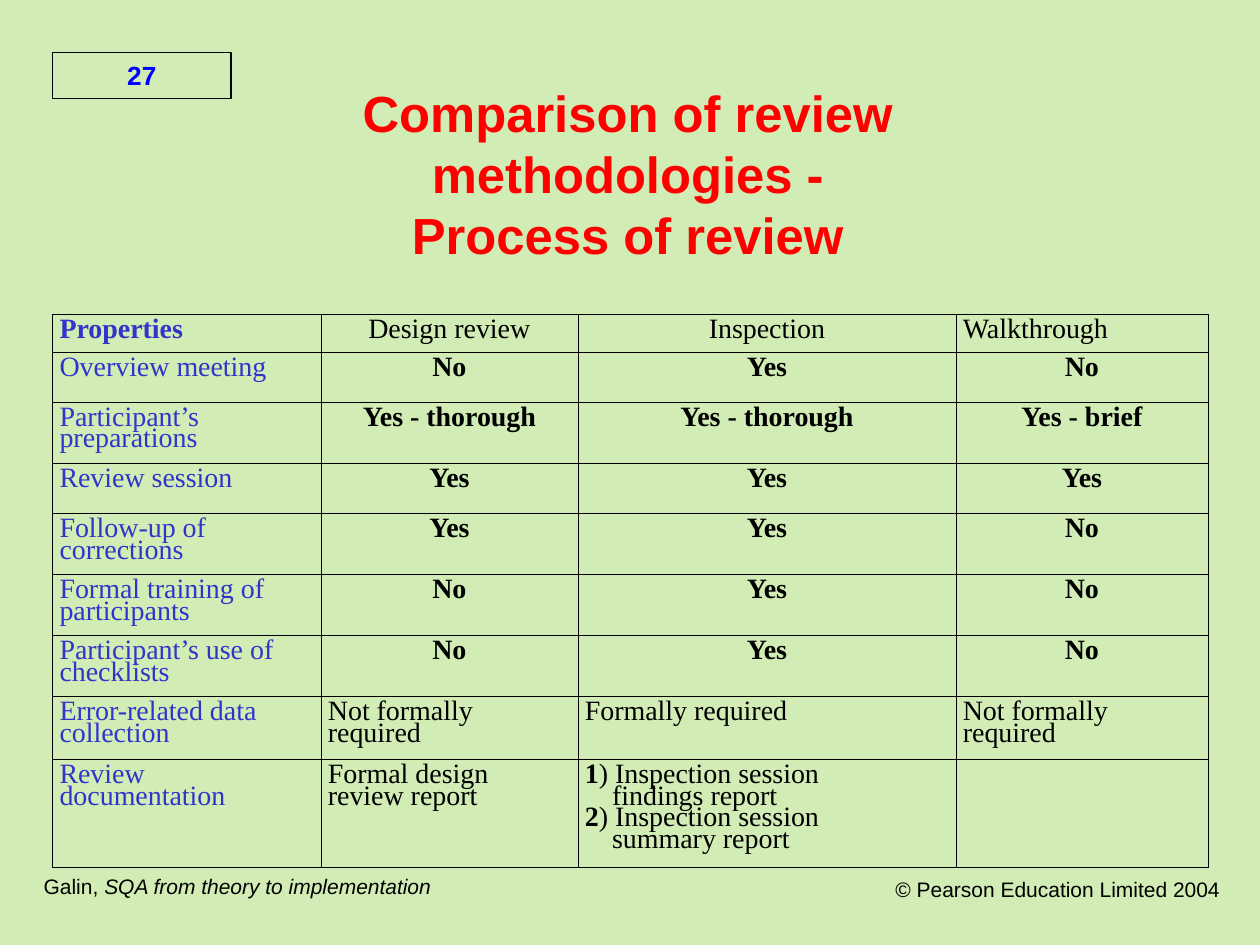
from lxml.etree import SubElement
from pptx import Presentation
from pptx.dml.color import RGBColor
from pptx.enum.text import MSO_ANCHOR, PP_ALIGN
from pptx.oxml.ns import qn
from pptx.util import Cm, Pt

COLORS = {
    "background": "D1ECB5",
    "black": "000000",
    "number": "0000FF",
    "property": "3333CC",
    "title": "FF0000",
}
LEFT, CENTER, RIGHT = PP_ALIGN.LEFT, PP_ALIGN.CENTER, PP_ALIGN.RIGHT
COLUMN_WIDTHS = [5.41, 5.18, 7.62, 5.08]
ROW_HEIGHTS = [0.76, 1.01, 1.23, 1.01, 1.23, 1.23, 1.23, 1.27, 2.18]
HEADER = ["Properties", "Design review", "Inspection", "Walkthrough"]
ANSWERS = [
    ["Overview meeting", "No", "Yes", "No"],
    ["Participant’s preparations", "Yes - thorough", "Yes - thorough", "Yes - brief"],
    ["Review session", "Yes", "Yes", "Yes"],
    ["Follow-up of corrections", "Yes", "Yes", "No"],
    ["Formal training of participants", "No", "Yes", "No"],
    ["Participant’s use of checklists", "No", "Yes", "No"],
]
DETAILS = [
    ["Error-related data collection", "Not formally required",
     "Formally required", "Not formally required"],
    ["Review documentation", "Formal design review report",
     [[("1", {"bold": True}), ") Inspection session\vfindings report"],
      [("2", {"bold": True}), ") Inspection session\vsummary report"]], ""],
]


def color(name):
    return RGBColor.from_string(COLORS[name])


def write(frame, text, size=16, font="Times New Roman", fill="black", bold=False,
          align=LEFT, spacing=None, hanging=None):
    """Write a string or a list of paragraphs, each a string or a list of runs.

    A run is a string or a pair of a string and its own font settings.
    """
    paragraphs = [text] if isinstance(text, str) else text
    for index, runs in enumerate(paragraphs):
        paragraph = frame.add_paragraph() if index else frame.paragraphs[0]
        paragraph.alignment = align
        if spacing:
            paragraph.line_spacing = spacing
        if hanging:
            properties = paragraph._p.get_or_add_pPr()
            properties.set("marL", str(hanging))
            properties.set("indent", str(-hanging))
        for run in [runs] if isinstance(runs, str) else runs:
            content, settings = (run, {}) if isinstance(run, str) else run
            for number, line in enumerate(content.split("\v")):
                if number:
                    paragraph.add_line_break()
                part = paragraph.add_run()
                part.text = line
                part.font.name = font
                part.font.size = Pt(size)
                part.font.color.rgb = color(fill)
                part.font.bold = settings.get("bold", bold)
                part.font.italic = settings.get("italic", False)


def set_borders(cell, width):
    properties = cell._tc.get_or_add_tcPr()
    for index, side in enumerate("LRTB"):
        line = SubElement(properties, qn(f"a:ln{side}"), w=str(Pt(width)))
        fill = SubElement(line, qn("a:solidFill"))
        SubElement(fill, qn("a:srgbClr"), val=COLORS["black"])
        properties.insert(index, line)


class SlideBuilder:
    font = "Arial"
    inset = Cm(0.14)
    cell_line, box_line = 0.45, 0.75

    def __init__(self, presentation):
        self.slide = presentation.slides.add_slide(presentation.slide_layouts[6])
        background = self.slide.background.fill
        background.solid()
        background.fore_color.rgb = color("background")

    def text_outline(self, box, text, outlined=False, inset=inset,
                     anchor=MSO_ANCHOR.TOP, **style):
        """Add a rectangular freeform that holds text."""
        left, top, width, height = map(Cm, box)
        right, bottom = left + width, top + height
        builder = self.slide.shapes.build_freeform(left, top)
        builder.add_line_segments([(right, top), (right, bottom), (left, bottom)])
        shape = builder.convert_to_shape()
        shape.shadow.inherit = False
        shape.fill.background()
        if outlined:
            shape.line.color.rgb = color("black")
            shape.line.width = Pt(self.box_line)
        else:
            shape.line.fill.background()
        frame = shape.text_frame
        frame.word_wrap = True
        frame.vertical_anchor = anchor
        frame.margin_left = frame.margin_right = inset
        frame.margin_top = frame.margin_bottom = inset
        write(frame, text, font=self.font, **style)

    def table(self, left, top, widths, heights):
        rows, columns = len(heights), len(widths)
        table = self.slide.shapes.add_table(
            rows, columns, Cm(left), Cm(top), Cm(sum(widths)), Cm(sum(heights))).table
        table.first_row = table.horz_banding = False
        for column, width in zip(table.columns, widths):
            column.width = Cm(width)
        for row, height in zip(table.rows, heights):
            row.height = Cm(height)
        for cell in table.iter_cells():
            cell.fill.background()
            cell.margin_left = cell.margin_right = self.inset
            cell.margin_top = cell.margin_bottom = Cm(0.13)
            set_borders(cell, self.cell_line)
        return table


def fill_comparison(table):
    for r, row in enumerate([HEADER, *ANSWERS, *DETAILS]):
        is_answer = 1 <= r <= len(ANSWERS)
        for c, text in enumerate(row):
            if not text:
                continue
            centered = c > 0 and (is_answer or (r == 0 and c < len(row) - 1))
            write(table.cell(r, c).text_frame, text,
                  fill="black" if c else "property",
                  bold=is_answer if c else r == 0,
                  align=CENTER if centered else LEFT, spacing=0.7,
                  hanging=None if isinstance(text, str) else Cm(0.55))


def main():
    presentation = Presentation()
    presentation.slide_width, presentation.slide_height = Cm(25.4), Cm(19.05)
    builder = SlideBuilder(presentation)
    builder.text_outline(
        (0.74, 17.48, 8.33, 0.79),
        [["Galin, ", ("SQA from theory to implementation", {"italic": True})]], size=12)
    builder.text_outline((16.87, 17.53, 7.87, 0.99), "© Pearson Education Limited 2004",
                         size=12, align=RIGHT)
    builder.text_outline((1.06, 1.06, 3.6, 0.92), "27", outlined=True,
                         size=15, fill="number", bold=True, align=CENTER)
    fill_comparison(builder.table(1.06, 6.34, COLUMN_WIDTHS, ROW_HEIGHTS))
    builder.text_outline((5.13, 1.65, 15.06, 3.68),
                         ["Comparison of review", "methodologies -", "Process of review"],
                         inset=0, anchor=MSO_ANCHOR.MIDDLE, size=29, fill="title",
                         bold=True, align=CENTER)
    presentation.save("out.pptx")


if __name__ == "__main__":
    main()
